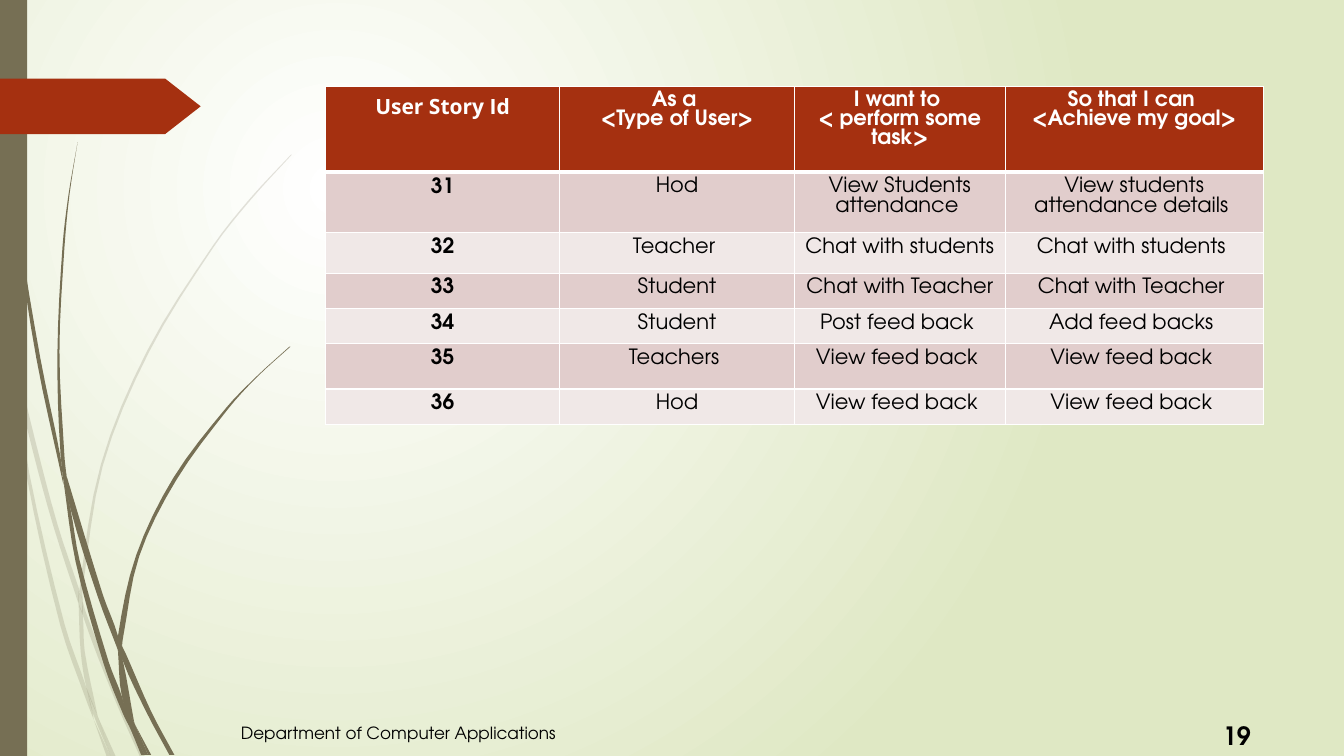
from lxml import etree
from pptx import Presentation
from pptx.dml.color import RGBColor
from pptx.enum.shapes import MSO_SHAPE
from pptx.enum.text import PP_ALIGN
from pptx.oxml.ns import qn
from pptx.util import Inches, Pt

RECTANGLE, PENTAGON = MSO_SHAPE.RECTANGLE, MSO_SHAPE.PENTAGON
LEFT, CENTER = PP_ALIGN.LEFT, PP_ALIGN.CENTER
BODY_FONT, ID_FONT = "TeX Gyre Adventor", "Open Sans"
OLIVE, RUST, WHITE, BLACK = "766F54", "A53010", "FFFFFF", "000000"
BANDS = ("E1CDCC", "F0E8E7")

# Grass blades: left edge | right edge, each a row of x,y knots in inches
PALE_BLADES = [
    "0,2.82 .08,3.22 .1,3.5 | 0,2.99 .09,3.44 .1,3.5",
    ".13,3.45 .16,3.76 .33,4.49 .53,5.22 .78,5.99 | .13,3.45 .34,4.33 .57,5.2 .79,5.86",
    ".82,5.96 .82,6.1 1.14,6.94 1.39,7.51 | .82,5.96 .85,6.07 1.18,6.92 1.44,7.51",
    ".97,7.11 1.1,7.51 | .97,7.11 1.15,7.51",
    ".1,3.5 .26,4.7 .6,6.21 .85,6.93 .93,7.14 | "
    ".1,3.5 .16,3.76 .29,4.69 .64,6.19 .86,6.83 .92,7.07 .93,7.14",
    ".78,5.99 .8,6.46 .86,6.83 .97,7.11 | .78,5.99 .82,6.1 .84,6.46 .96,7.06 .97,7.11",
    "2.89,1.53 2.48,1.97 2.11,2.44 1.46,3.48 1,4.61 .79,5.84 .82,5.96 | "
    "2.89,1.54 2.49,1.98 2.12,2.45 1.48,3.49 1.02,4.62 .82,5.84 .82,5.96",
    ".93,7.14 1.06,7.51 | .93,7.14 1.1,7.51",
    ".78,5.86 .78,5.99 .82,6.1 | .78,5.86 .82,5.96 .82,6.1",
    ".86,6.83 .92,7.07 1.1,7.51 | .86,6.83 .97,7.11 1.1,7.51",
]
DARK_BLADES = [
    ".03,0 .07,1.1 .18,2.33 .36,3.55 .63,4.81 | "
    ".04,0 .08,1.09 .2,2.32 .4,3.55 .6,4.53 .63,4.81",
    ".66,4.72 .7,5.05 .97,5.92 1.17,6.45 | .66,4.72 1.02,5.9 1.17,6.31 1.17,6.45",
    "1.21,6.41 1.22,6.56 1.46,7.08 1.68,7.49 | 1.21,6.41 1.25,6.49 1.5,7.06 1.73,7.49",
    ".63,4.77 .75,5.57 1.03,6.59 1.22,7.08 1.29,7.22 | "
    ".63,4.77 .7,5.05 .79,5.56 1.08,6.57 1.21,6.91 1.29,7.22",
    ".77,1.41 .68,1.93 .62,2.45 .57,3.49 .6,4.49 .66,4.72 | "
    ".77,1.41 .69,1.93 .64,2.45 .59,3.49 .64,4.53 .66,4.72",
    "1.34,7.19 1.47,7.49 | 1.34,7.19 1.5,7.49",
    ".6,4.49 .63,4.77 .7,5.05 | .6,4.49 .66,4.72 .7,5.05",
    "2.87,3.44 2.55,3.73 2.24,4.05 1.72,4.74 1.35,5.51 1.17,6.31 1.21,6.41 | "
    "2.88,3.44 2.55,3.74 2.26,4.06 1.75,4.76 1.38,5.52 1.22,6.33 1.21,6.41",
    "1.29,7.22 1.4,7.49 | 1.29,7.22 1.44,7.49",
    "1.17,6.45 1.21,6.91 1.34,7.19 | 1.17,6.45 1.22,6.56 1.33,7.16 1.34,7.19",
    "1.17,6.31 1.17,6.45 1.22,6.56 | 1.17,6.31 1.21,6.41 1.22,6.56",
    "1.21,6.91 1.29,7.22 1.44,7.49 | 1.21,6.91 1.34,7.19 1.47,7.49",
]

HEADINGS = ["User Story Id", "As a \n<Type of User>",
            "I want to \n< perform some task>", "So that I can \n<Achieve my goal>"]
STORIES = [
    ("31", "Hod", "View Students attendance ", "View students attendance details "),
    ("32", "Teacher ", "Chat with students ", "Chat with students "),
    ("33", "Student", "Chat with Teacher ", "Chat with Teacher "),
    ("34", "Student", "Post feed back ", "Add feed backs "),
    ("35", "Teachers ", "View feed back ", "View feed back "),
    ("36", "Hod", "View feed back ", "View feed back "),
]
COLUMN_WIDTHS = (2.32, 2.33, 2.09, 2.56)
ROW_HEIGHTS = (.85, .6, .4, .35, .35, .45, .35)


def rgb(value):
    return RGBColor.from_string(value)


def write(frame, text, size=15, font=BODY_FONT, color=BLACK, bold=False,
          align=LEFT, line=None):
    for index, words in enumerate(text.split("\n")):
        paragraph = frame.add_paragraph() if index else frame.paragraphs[0]
        paragraph.alignment = align
        if line:
            paragraph.line_spacing = Pt(line)
        run = paragraph.add_run()
        run.text = words
        run.font.name, run.font.size, run.font.bold = font, Pt(size), bold
        run.font.color.rgb = rgb(color)


def paint(shape, color, opacity=100):
    shape.shadow.inherit = False
    shape.fill.solid()
    shape.fill.fore_color.rgb = rgb(color)
    shape.line.fill.background()
    if opacity < 100:
        tone = shape.element.spPr.find(".//" + qn("a:srgbClr"))
        etree.SubElement(tone, qn("a:alpha"), val=str(opacity * 1000))


def add_block(slide, kind, left, top, width, height, color):
    block = slide.shapes.add_shape(kind, Inches(left), Inches(top),
                                   Inches(width), Inches(height))
    paint(block, color)
    return block


def smooth_edge(knots, steps=4):
    """Join the knots by curves whose tangents follow their neighbours."""
    points = [complex(*map(float, knot.split(","))) for knot in knots.split()]
    padded = [points[0], *points, points[-1]]
    curve = []
    for a, b, c, d in zip(padded, padded[1:], padded[2:], padded[3:]):
        reach = abs(c - b) / 3
        leave = b + (c - a) / abs(c - a) * reach
        arrive = c - (d - b) / abs(d - b) * reach
        for t in (step / steps for step in range(steps if len(points) > 2 else 1)):
            u = 1 - t
            curve.append(u**3 * b + 3*u*u*t * leave + 3*u*t*t * arrive + t**3 * c)
    return [(Inches(p.real), Inches(p.imag)) for p in curve + [points[-1]]]


def add_blade(slide, edges, opacity):
    left_edge, right_edge = map(smooth_edge, edges.split("|"))
    outline = left_edge + right_edge[::-1]
    builder = slide.shapes.build_freeform(*outline[0])
    builder.add_line_segments(outline[1:], close=True)
    paint(builder.convert_to_shape(), OLIVE, opacity)


def add_background(slide):
    fill = slide.background.fill
    fill.gradient()
    for stop, color, position in zip(fill.gradient_stops, (WHITE, "DFE8C4"), (0, 1)):
        stop.color.rgb = rgb(color)
        stop.position = position
    gradient = slide.element.find(".//" + qn("a:gradFill"))
    circle = etree.Element(qn("a:path"), {"path": "circle"})
    etree.SubElement(circle, qn("a:fillToRect"), l="50000", t="50000",
                     r="100000", b="100000")
    gradient.replace(gradient.find(qn("a:lin")), circle)


def add_borders(cell, **widths):
    properties = cell._tc.get_or_add_tcPr()
    for side in "LRTB":
        edge = etree.SubElement(properties, qn("a:ln" + side),
                                w=str(Pt(widths.get(side, 1))))
        solid = etree.SubElement(edge, qn("a:solidFill"))
        etree.SubElement(solid, qn("a:srgbClr"), val=WHITE)


def add_stories(slide):
    table = slide.shapes.add_table(
        len(ROW_HEIGHTS), len(COLUMN_WIDTHS), Inches(3.23), Inches(.86),
        Inches(sum(COLUMN_WIDTHS)), Inches(sum(ROW_HEIGHTS))).table
    for column, width in zip(table.columns, COLUMN_WIDTHS):
        column.width = Inches(width)
    for row, height in zip(table.rows, ROW_HEIGHTS):
        row.height = Inches(height)
    for r, texts in enumerate([HEADINGS, *STORIES]):
        heading = r == 0
        for c, text in enumerate(texts):
            cell = table.cell(r, c)
            add_borders(cell, T=3 if r == 1 else 1, B=3 if heading else 1)
            cell.fill.solid()
            cell.fill.fore_color.rgb = rgb(RUST if heading else BANDS[(r - 1) % 2])
            id_heading = heading and c == 0
            write(cell.text_frame, text, bold=heading or c == 0, align=CENTER,
                  font=ID_FONT if id_heading else BODY_FONT,
                  color=WHITE if heading else BLACK,
                  line=None if id_heading else 13.6 if heading else 14)


def add_label(slide, text, left, top, width, height, wrap=True, **style):
    frame = slide.shapes.add_textbox(Inches(left), Inches(top),
                                     Inches(width), Inches(height)).text_frame
    frame.word_wrap = wrap
    write(frame, text, **style)


def main():
    deck = Presentation()
    deck.slide_width, deck.slide_height = Inches(13.33), Inches(7.5)
    slide = deck.slides.add_slide(deck.slide_layouts[6])

    # Backdrop with grass, side bar and arrow tab
    add_background(slide)
    for blades, opacity in ((PALE_BLADES, 20), (DARK_BLADES, 100)):
        for edges in blades:
            add_blade(slide, edges, opacity)
    add_block(slide, RECTANGLE, 0, 0, .27, 7.5, OLIVE)
    tab = add_block(slide, PENTAGON, 0, .78, 1.99, .55, RUST)
    tab.adjustments[0] = .64

    # User stories, footer and page number
    add_stories(slide)
    add_label(slide, "Department of Computer Applications", 2.29, 7.12, 5.23, .3,
              size=12, line=14.4)
    add_label(slide, "19", 12.03, 7.1, .49, .4, wrap=False,
              size=18, bold=True, line=21.6)

    deck.save("out.pptx")


main()
